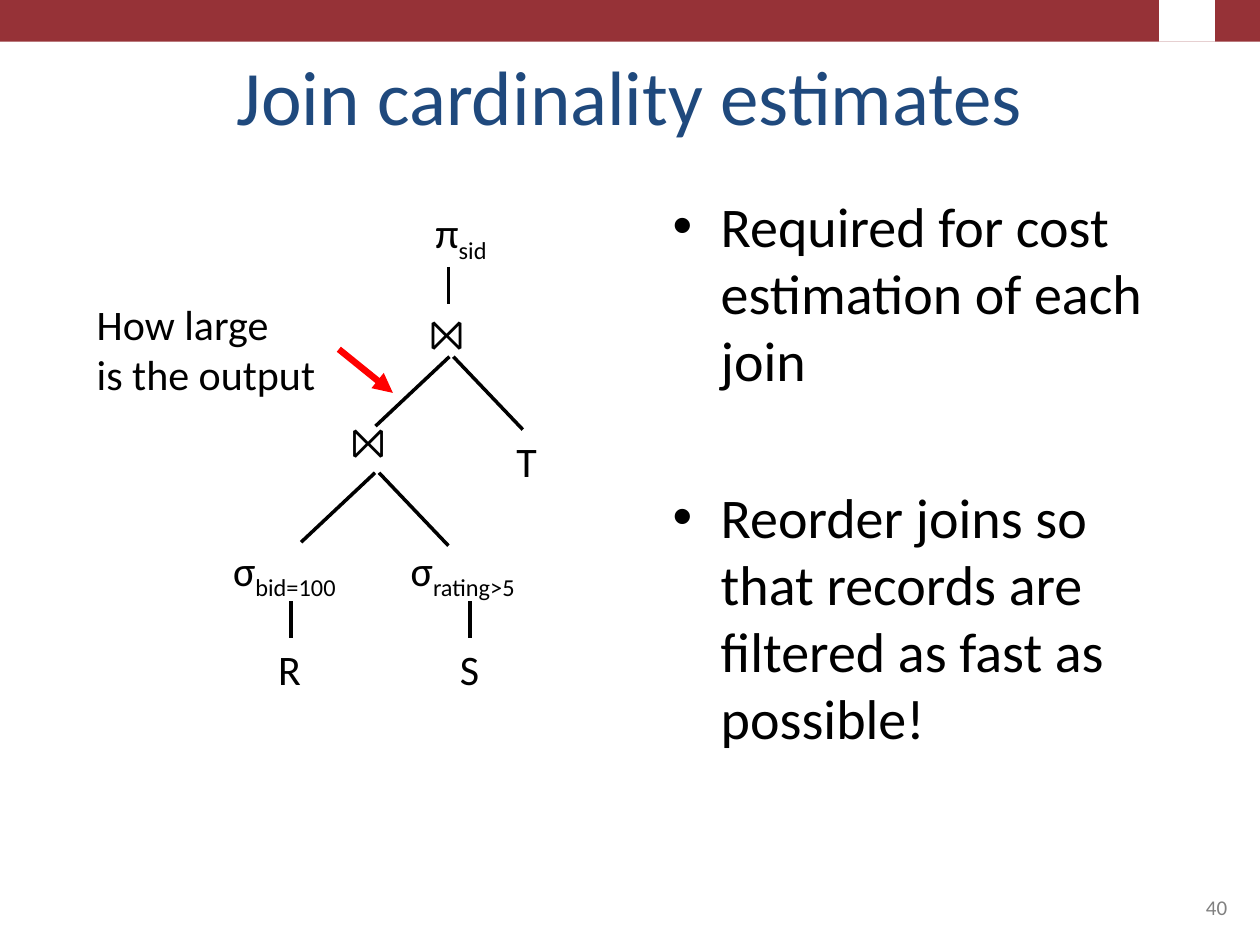
"""Build a slide on join cardinality estimates with a query plan tree."""
from lxml import etree
from pptx import Presentation
from pptx.dml.color import RGBColor
from pptx.enum import shapes, text
from pptx.oxml import ns
from pptx.util import Cm, Pt

COLORS = {"band": "963237", "title": "1F497D", "ink": "000000",
          "number": "808080", "arrow": "FF0000", "white": "FFFFFF"}

prs = Presentation()
prs.slide_width, prs.slide_height = Cm(25.4), Cm(19.05)
s = prs.slides.add_slide(prs.slide_layouts[6])


def add_text(content, box, size=24, color="ink", wrap=False, sub="",
             align=text.PP_ALIGN.LEFT, anchor=text.MSO_ANCHOR.TOP):
    tf = s.shapes.add_textbox(*map(Cm, box)).text_frame
    tf.text = content
    tf.word_wrap = wrap
    tf.vertical_anchor = anchor
    if not wrap:
        tf.auto_size = text.MSO_AUTO_SIZE.SHAPE_TO_FIT_TEXT
    if sub:
        r = tf.paragraphs[0].add_run()
        r.text = sub
        r.font._element.set("baseline", "-25000")
    for p in tf.paragraphs:
        p.alignment = align
        for r in p.runs:
            r.font.name = "Calibri"
            r.font.size = Pt(size)
            r.font.color.rgb = RGBColor.from_string(COLORS[color])
    return tf


def add_line(ends, color="ink", width=2):
    line = s.shapes.add_connector(shapes.MSO_CONNECTOR.STRAIGHT, *map(Cm, ends))
    line.line.color.rgb = RGBColor.from_string(COLORS[color])
    line.line.width = Pt(width)
    etree.SubElement(line._element.spPr, ns.qn("a:effectLst"))
    return line


for color, box in [("band", (0, 0, 25.4, 0.84)), ("white", (23.37, 0, 1.12, 0.84))]:
    sp = s.shapes.add_shape(shapes.MSO_SHAPE.RECTANGLE, *map(Cm, box))
    sp.shadow.inherit = False
    sp.fill.solid()
    sp.fill.fore_color.rgb = RGBColor.from_string(COLORS[color])
    sp.line.fill.background()

add_text("Join cardinality estimates", (1.27, 0.76, 22.86, 2.21), 44, "title",
         True, align=text.PP_ALIGN.CENTER, anchor=text.MSO_ANCHOR.BOTTOM)
add_text("40", (18.21, 17.35, 6.78, 1.32), 12, "number",
         True, align=text.PP_ALIGN.RIGHT, anchor=text.MSO_ANCHOR.BOTTOM)

body = add_text("Required for cost estimation of each join\n"
                "Reorder joins so that records are filtered as fast as possible!",
                (13.31, 3.73, 10.82, 13.28), 32, wrap=True)
for p in body.paragraphs:
    pPr = p._p.get_or_add_pPr()
    pPr.set("marL", str(Cm(0.97)))
    pPr.set("indent", str(-Cm(0.97)))
    etree.SubElement(pPr, ns.qn("a:buFont"), typeface="Arial")
    etree.SubElement(pPr, ns.qn("a:buChar"), char="•")
body.paragraphs[1].space_before = Pt(51)

add_text("How large\nis the output", (1.7, 5.89, 5.16, 2.31))
nodes = [("π", "sid", 8.53, 4.04, 1.63),
         ("⨝", "", 8.41, 6.07, 1.4),
         ("⨝", "", 6.83, 8.26, 1.4),
         ("T", "", 10.16, 8.66, 0.94),
         ("σ", "bid=100", 4.45, 10.85, 2.84),
         ("σ", "rating>5", 8.03, 10.85, 2.9),
         ("R", "", 5.36, 12.85, 0.97),
         ("S", "", 9.02, 12.85, 0.91)]
for symbol, sub, x, y, width in nodes:
    add_text(symbol, (x, y, width, 1.27), sub=sub)

for x, y in [(9.04, 5.38), (5.87, 12.12), (9.47, 12.12)]:
    add_line((x, y, x, y + 0.74))
for x, y in [(9.1, 7.19), (7.6, 9.53)]:
    add_line((x - 1.53, y + 1.4, x - 0.04, y))
    add_line((x + 0.04, y, x + 1.44, y + 1.47))

arrow = add_line((6.83, 7.04, 7.92, 7.92), "arrow", 3.75)
etree.SubElement(arrow.line._get_or_add_ln(), ns.qn("a:tailEnd"), type="triangle")

prs.save("out.pptx")
